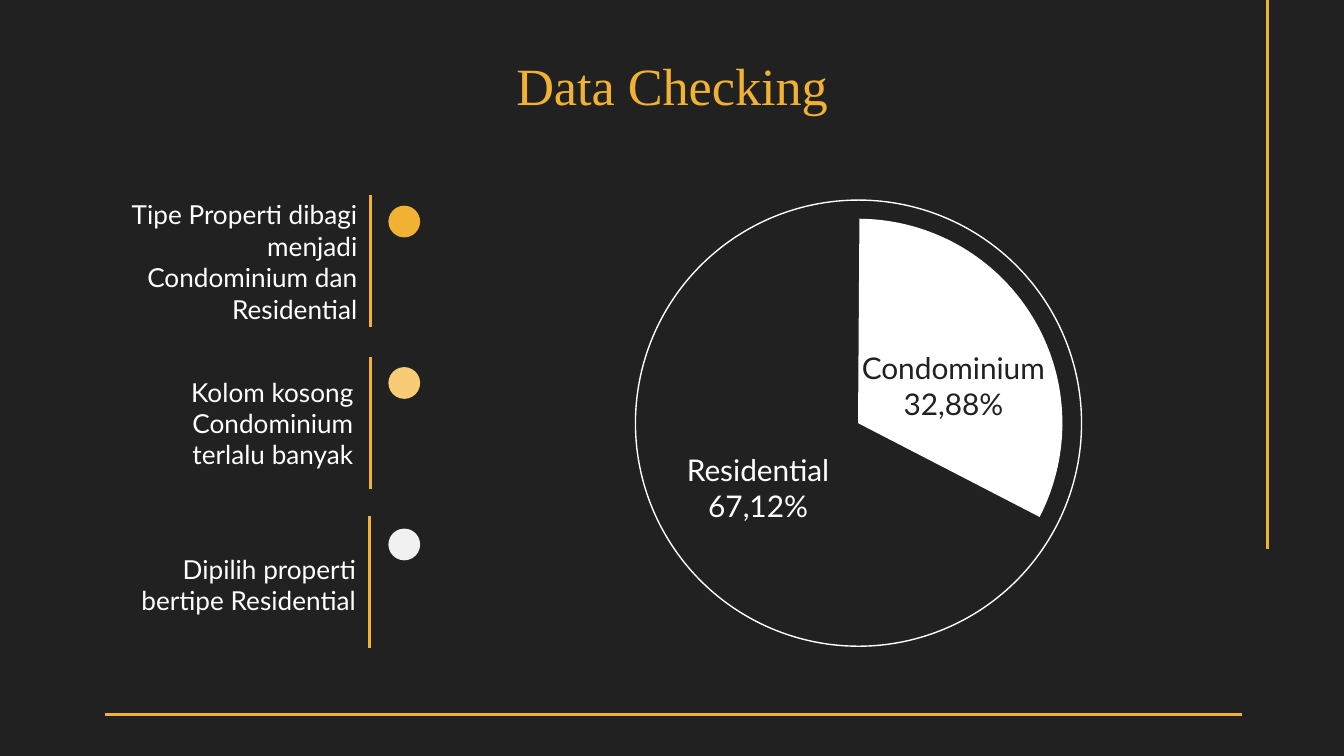
from lxml import etree
from pptx import Presentation
from pptx.dml.color import RGBColor
from pptx.enum.shapes import MSO_CONNECTOR, MSO_SHAPE
from pptx.enum.text import MSO_ANCHOR, MSO_AUTO_SIZE, PP_ALIGN
from pptx.oxml.ns import qn
from pptx.util import Pt

LINE = MSO_CONNECTOR.STRAIGHT
OVAL = MSO_SHAPE.OVAL
RING = MSO_SHAPE.FLOWCHART_CONNECTOR
PIE = MSO_SHAPE.PIE
MID, TOP = MSO_ANCHOR.MIDDLE, MSO_ANCHOR.TOP
MIDDLE, RIGHT = PP_ALIGN.CENTER, PP_ALIGN.RIGHT
FIXED = MSO_AUTO_SIZE.NONE

DARK, GOLD, SAND, PALE, WHITE = "212121", "F1B234", "F8CC74", "F1F1F1", "FFFFFF"
COMPARE = 4  # layout with a title and several body placeholders


def rgb(code):
    return RGBColor.from_string(code)


def write(shape, text, size=14, font="Lato", color=WHITE, align=MIDDLE,
          anchor=MID, left=7.2):
    """Fill a shape with text, one paragraph per line."""
    frame = shape.text_frame
    frame.word_wrap = True
    frame.auto_size = FIXED
    frame.vertical_anchor = anchor
    frame.margin_left = Pt(left)
    frame.margin_top = frame.margin_right = frame.margin_bottom = Pt(7.2)
    frame.text = text
    for para in frame.paragraphs:
        props = para._p.get_or_add_pPr()
        props.set("marL", "0")
        props.set("indent", "0")
        etree.SubElement(props, qn("a:buNone"))
        para.alignment = align
        para.space_before = Pt(0)
        para.font.size = Pt(size)
        para.font.name = font
        para.font.bold = False
        para.font.color.rgb = rgb(color)


class Deck:
    def __init__(self):
        self.show = Presentation()
        self.show.slide_width, self.show.slide_height = Pt(720), Pt(405)
        self.slide = self.show.slides.add_slide(self.show.slide_layouts[COMPARE])
        self.shapes = self.slide.shapes
        back = self.slide.background.fill
        back.solid()
        back.fore_color.rgb = rgb(DARK)

    def line(self, x1, y1, x2, y2):
        rule = self.shapes.add_connector(LINE, Pt(x1), Pt(y1), Pt(x2), Pt(y2))
        rule.line.color.rgb = rgb(GOLD)
        rule.line.width = Pt(1.5)
        etree.SubElement(rule._element.spPr, qn("a:effectLst"))

    def round(self, kind, x, y, size, fill=None, edge=None):
        """Add a shape in a square frame, filled or outlined."""
        shape = self.shapes.add_shape(kind, Pt(x), Pt(y), Pt(size), Pt(size))
        shape.shadow.inherit = False
        if fill:
            shape.fill.solid()
            shape.fill.fore_color.rgb = rgb(fill)
        else:
            shape.fill.background()
        if edge:
            shape.line.color.rgb = rgb(edge)
            shape.line.width = Pt(0.75)
        else:
            shape.line.fill.background()
        return shape

    def holder(self, idx, x, y, width, height, text, **style):
        """Move a placeholder into place and write in it."""
        shape = self.slide.placeholders[idx]
        shape.left, shape.top = Pt(x), Pt(y)
        shape.width, shape.height = Pt(width), Pt(height)
        write(shape, text, **style)

    def label(self, x, y, width, text, color):
        box = self.shapes.add_textbox(Pt(x), Pt(y), Pt(width), Pt(53.3))
        write(box, text, size=16, color=color, anchor=TOP)

    def save(self):
        for shape in list(self.slide.placeholders):
            if not shape.text_frame.text:
                shape._element.getparent().remove(shape._element)
        self.show.save("out.pptx")


def main():
    deck = Deck()
    deck.line(679, 0, 679, 294)
    deck.line(56.2, 383, 665.3, 383)
    deck.holder(0, 56.2, 26.6, 607.7, 37.4, "Data Checking",
                size=28, font="Times New Roman", color=GOLD)

    # Per note: text, left, right, divider x, divider top, dot colour
    notes = [
        ("Tipe Properti dibagi menjadi Condominium dan Residential",
         49, 198.7, 198.7, 104.4, GOLD),
        ("Kolom kosong Condominium terlalu banyak",
         59, 196.6, 198.7, 191.5, SAND),
        ("Dipilih properti bertipe Residential",
         58.3, 198, 198, 276.5, PALE),
    ]
    for i, (text, left, right, bar, top, color) in enumerate(notes):
        drop = i * 86.5
        deck.round(OVAL, 208.1, 110.2 + drop, 17, fill=color)
        deck.holder(i + 1, left, 118.9 + drop, right - left, 42.5, text,
                    align=RIGHT, left=14.4)
        deck.line(bar, top, bar, top + 70.6)

    deck.round(RING, 340.4, 107.2, 239, edge=WHITE)
    slice_ = deck.round(PIE, 350.2, 117.2, 219, fill=WHITE)
    slice_.adjustments[0], slice_.adjustments[1] = 162.24, 16.39
    deck.label(350, 234.7, 112.3, "Residential\n67,12%", WHITE)
    deck.label(442, 180, 137.5, "Condominium\n32,88%", DARK)
    deck.save()


if __name__ == "__main__":
    main()
